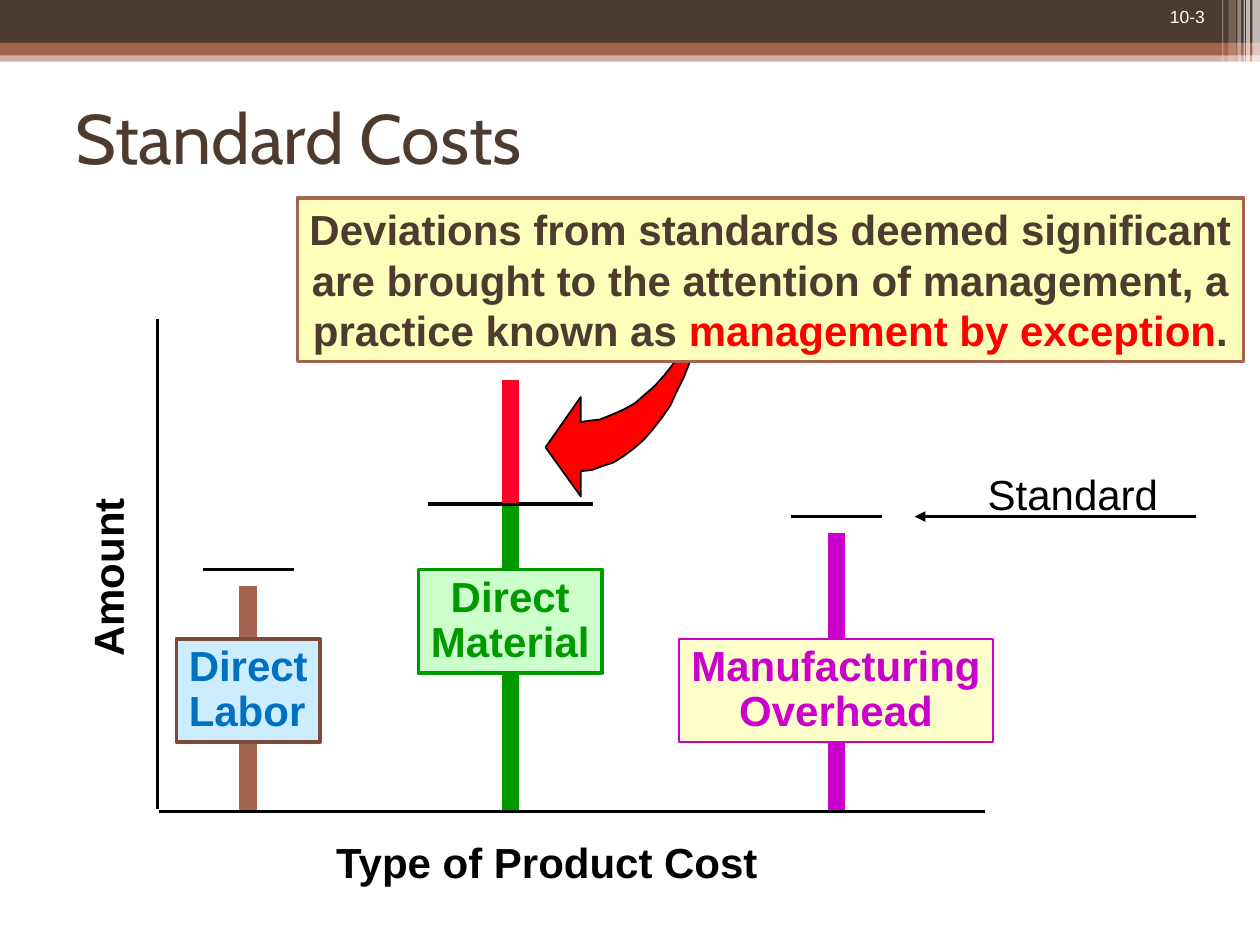
from lxml import etree
from pptx import Presentation
from pptx.dml.color import RGBColor
from pptx.enum import shapes, text
from pptx.oxml import ns
from pptx.util import Inches, Pt

BLACK = RGBColor(0, 0, 0)
WHITE = RGBColor(255, 255, 255)
BROWN = RGBColor(0x4E, 0x3B, 0x30)
RUST = RGBColor(0xA5, 0x64, 0x4E)
UMBER = RGBColor(0x7C, 0x4B, 0x3B)
GREEN = RGBColor(0, 0x99, 0)
MINT = RGBColor(0xCC, 0xFF, 0xCC)
PLUM = RGBColor(0xCC, 0, 0xCC)
CREAM = RGBColor(0xFF, 0xFF, 0xCC)
LEMON = RGBColor(0xFC, 0xFE, 0xB9)
BLUE = RGBColor(0, 0x70, 0xC0)
SKY = RGBColor(0xCC, 0xEC, 0xFF)
RED = RGBColor(255, 0, 0)
SCARLET = RGBColor(0xFC, 0x01, 0x28)
LEFT, MID, RIGHT = text.PP_ALIGN.LEFT, text.PP_ALIGN.CENTER, text.PP_ALIGN.RIGHT

deck = Presentation()
deck.slide_width, deck.slide_height = Inches(10), Inches(7.5)
slide = deck.slides.add_slide(deck.slide_layouts[6])
tree = slide.shapes


def rule(x1, y1, x2, y2, color, width):
    line = tree.add_connector(shapes.MSO_CONNECTOR.STRAIGHT, Inches(x1), Inches(y1), Inches(x2), Inches(y2))
    line.line.color.rgb = color
    line.line.width = Pt(width)
    etree.SubElement(line._element.spPr, ns.qn("a:effectLst"))
    return line


def write(shape, runs, size=24, bold=True, font="Arial", align=LEFT, space=None, wrap=False):
    frame = shape.text_frame
    frame.word_wrap = wrap
    frame.vertical_anchor = text.MSO_ANCHOR.TOP
    para = frame.paragraphs[0]
    para.alignment = align
    para.line_spacing = space
    for words, color in runs:
        for i, part in enumerate(words.split("\n")):
            if i:
                para.add_line_break()
            run = para.add_run()
            run.text = part
            run.font.size, run.font.bold, run.font.name = Pt(size), bold, font
            run.font.color.rgb = color


bands = [
    (0, 0.4, 10, 0.09, RUST, 50),
    (0, 0, 10, 0.34, BROWN, 100),
    (0, 0.34, 10, 0.1, RUST, 100),
    (9.94, 0, 0.06, 0.68, WHITE, 65),
    (9.89, 0, 0.03, 0.68, WHITE, 65),
    (9.87, 0, 0.01, 0.68, WHITE, 60),
    (9.82, 0, 0.03, 0.68, WHITE, 40),
    (9.75, 0, 0.06, 0.64, WHITE, 20),
    (9.7, 0, 0.01, 0.64, WHITE, 30),
]
for x, y, w, h, color, alpha in bands:
    band = tree.add_shape(shapes.MSO_SHAPE.RECTANGLE, Inches(x), Inches(y), Inches(w), Inches(h))
    band.shadow.inherit = False
    band.line.fill.background()
    band.fill.solid()
    band.fill.fore_color.rgb = color
    if alpha < 100:
        tone = band._element.spPr.find(ns.qn("a:solidFill"))[0]
        etree.SubElement(tone, ns.qn("a:alpha"), val=str(alpha * 1000))

page = tree.add_textbox(Inches(8.58), Inches(0), Inches(1.08), Inches(0.27))
write(page, [("10-3", WHITE)], size=10, bold=False, align=RIGHT, wrap=True)
title = tree.add_textbox(Inches(0.5), Inches(0.5), Inches(9), Inches(1.17))
write(title, [("Standard Costs", BROWN)], size=40, bold=False, font="Cabin", wrap=True)
title.text_frame.vertical_anchor = text.MSO_ANCHOR.MIDDLE

rule(1.25, 2.53, 1.25, 6.42, BLACK, 2)
rule(1.26, 6.44, 7.82, 6.44, BLACK, 2)

bars = [
    (1.97, 4.65, RUST, 4.52, 0.72),
    (4.05, 3.89, GREEN, 4, 1.31),
    (6.64, 4.23, PLUM, 4.1, 0.72),
]
for x, top, color, norm, span in bars:
    rule(x, 6.43, x, top, color, 10)
    rule(x - span / 2, norm, x + span / 2, norm, BLACK, 2)
rule(4.05, 3.99, 4.05, 3.02, SCARLET, 10)

arrow = rule(7.26, 4.1, 9.49, 4.1, BLACK, 2)
etree.SubElement(arrow.line._get_or_add_ln(), ns.qn("a:headEnd"), type="triangle")

curve = [
    (461, 335), (467, 334), (476, 333), (486, 329), (495, 325), (504, 320), (512, 313),
    (520, 306), (528, 297), (535, 288), (541, 277), (547, 267), (552, 255), (557, 243),
    (560, 230), (563, 217), (565, 203), (566, 189), (566, 185), (566, 200), (564, 216),
    (562, 231), (560, 245), (557, 260), (552, 273), (548, 286), (543, 299), (537, 311),
    (532, 322), (525, 332), (518, 341), (511, 349), (503, 356), (495, 362), (487, 367),
    (478, 370), (470, 373), (461, 374), (461, 394), (433, 355), (461, 315),
]
pen = tree.build_freeform(*curve[0], scale=Inches(0.01))
pen.add_line_segments(curve[1:], close=True)
swoop = pen.convert_to_shape()
swoop.shadow.inherit = False
swoop.fill.solid()
swoop.fill.fore_color.rgb = RED
swoop.line.color.rgb = BLACK
swoop.line.width = Pt(1)

note = [
    ("Deviations from standards deemed significant\n"
     "are brought to the attention of management, a\npractice known as ", BROWN),
    ("management by exception", RED),
    (".", BROWN),
]
cards = [
    (3.32, 4.52, 1.46, 0.82, MINT, GREEN, 2, [("Direct\nMaterial", GREEN)], MID, 0.9),
    (1.4, 5.07, 1.14, 0.82, SKY, UMBER, 2, [("Direct\nLabor", BLUE)], LEFT, 0.9),
    (5.39, 5.07, 2.49, 0.82, CREAM, PLUM, 1.5, [("Manufacturing\nOverhead", PLUM)], MID, 0.9),
    (2.36, 1.57, 7.51, 1.3, LEMON, RUST, 2, note, MID, None),
]
for x, y, w, h, fill, edge, width, runs, align, space in cards:
    card = tree.add_shape(shapes.MSO_SHAPE.RECTANGLE, Inches(x), Inches(y), Inches(w), Inches(h))
    card.shadow.inherit = False
    card.fill.solid()
    card.fill.fore_color.rgb = fill
    card.line.color.rgb = edge
    card.line.width = Pt(width)
    write(card, runs, align=align, space=space)

labels = [
    (2.57, 6.59, 3.57, "Type of Product Cost", True, 0),
    (0.12, 4.33, 1.46, "Amount", True, 270),
    (7.74, 3.67, 1.58, "Standard", False, 0),
]
for x, y, w, words, bold, turn in labels:
    label = tree.add_textbox(Inches(x), Inches(y), Inches(w), Inches(0.5))
    label.rotation = turn
    write(label, [(words, BLACK)], bold=bold)

deck.save("out.pptx")
